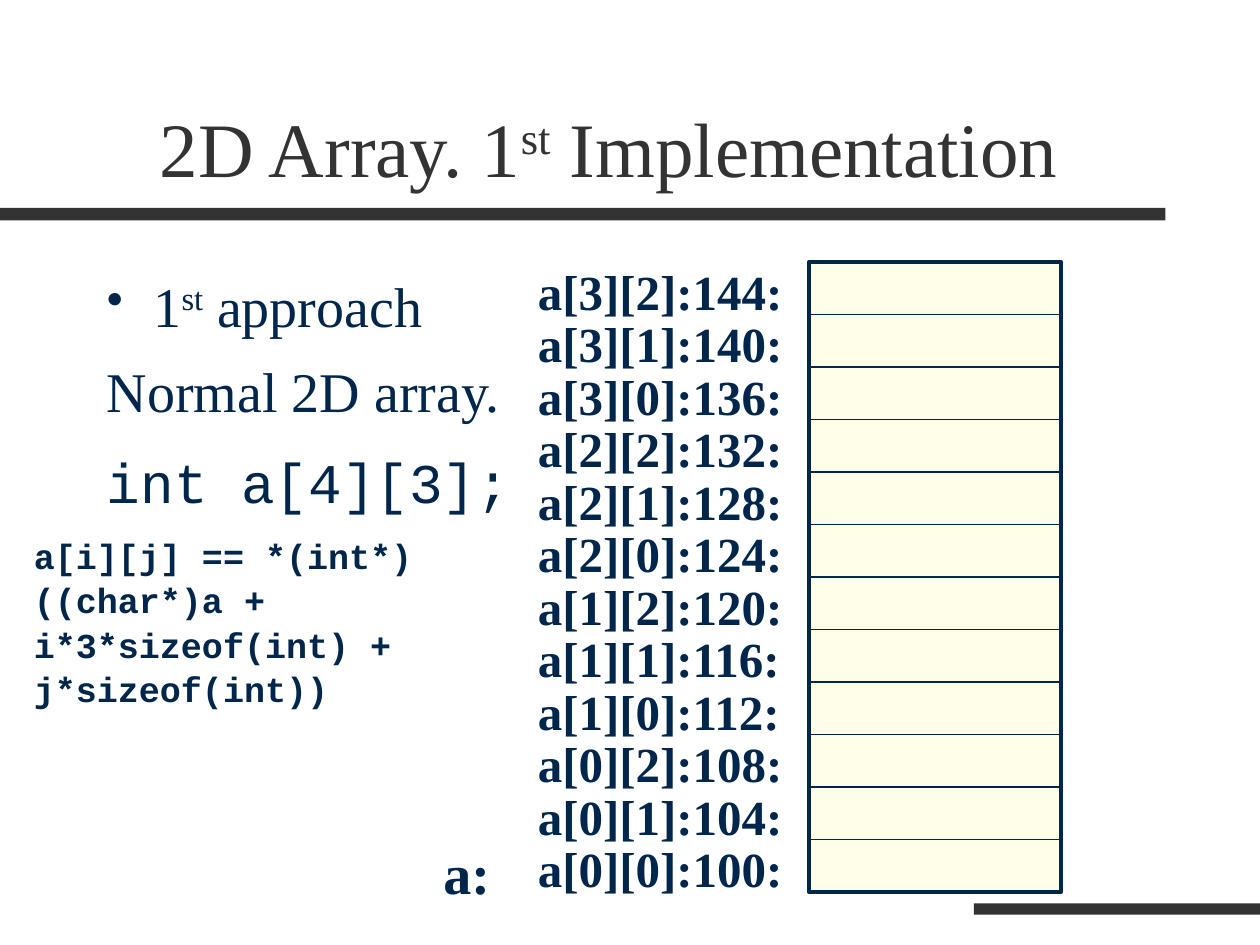
from dataclasses import dataclass
from typing import Optional

from lxml import etree
from pptx import Presentation
from pptx.dml.color import RGBColor
from pptx.enum import shapes, text
from pptx.oxml.ns import qn
from pptx.util import Inches, Pt


@dataclass(frozen=True)
class Theme:
    ink: str = "00264C"
    bar: str = "333333"
    cell: str = "FFFFE9"
    serif: str = "Times New Roman"
    mono: str = "Courier New"
    title: int = 44
    body: int = 32
    label: int = 28
    code: int = 20
    border: float = 2.25
    divider: float = 0.75


@dataclass(frozen=True)
class Area:
    left: float
    top: float
    width: float
    height: float

    def lengths(self) -> tuple:
        return tuple(Inches(n) for n in (self.left, self.top, self.width, self.height))


@dataclass(frozen=True)
class Span:
    words: str
    raised: bool = False


@dataclass(frozen=True)
class Para:
    spans: tuple[Span, ...]
    size: int
    color: str
    font: str
    bold: bool = False
    spacing: float = 1.05
    before: float = 0
    hanging: float = 0
    bullet: Optional[str] = None


THEME = Theme()
MEMORY = Area(6.42, 2.08, 2, 5)
ROWS, COLUMNS, INT_SIZE, BASE_ADDRESS = 4, 3, 4, 100


def add_bullet(para, mark: str, color: str) -> None:
    properties = para._p.get_or_add_pPr()
    tint = etree.SubElement(properties, qn("a:buClr"))
    etree.SubElement(tint, qn("a:srgbClr"), val=color)
    etree.SubElement(properties, qn("a:buSzPct"), val="85000")
    etree.SubElement(properties, qn("a:buChar"), char=mark)


def add_text(slide, area: Area, paras: list[Para],
             anchor=text.MSO_ANCHOR.TOP, grow: bool = False) -> None:
    frame = slide.shapes.add_textbox(*area.lengths()).text_frame
    frame.word_wrap = True
    frame.vertical_anchor = anchor
    if grow:
        frame.auto_size = text.MSO_AUTO_SIZE.SHAPE_TO_FIT_TEXT
    for index, item in enumerate(paras):
        para = frame.add_paragraph() if index else frame.paragraphs[0]
        para.line_spacing = item.spacing
        if item.before:
            para.space_before = Pt(item.before)
        if item.hanging:
            properties = para._p.get_or_add_pPr()
            properties.set("marL", str(Inches(item.hanging)))
            properties.set("indent", str(-Inches(item.hanging)))
        if item.bullet:
            add_bullet(para, item.bullet, item.color)
        for part in item.spans:
            span = para.add_run()
            span.text = part.words
            span.font.size = Pt(item.size)
            span.font.name = item.font
            span.font.bold = item.bold
            span.font.color.rgb = RGBColor.from_string(item.color)
            if part.raised:
                span.font._element.set("baseline", "30000")


def add_box(slide, area: Area, fill: str, line: Optional[str] = None) -> None:
    box = slide.shapes.add_shape(shapes.MSO_SHAPE.RECTANGLE, *area.lengths())
    box.shadow.inherit = False
    box.fill.solid()
    box.fill.fore_color.rgb = RGBColor.from_string(fill)
    if line:
        box.line.color.rgb = RGBColor.from_string(line)
        box.line.width = Pt(THEME.border)
    else:
        box.line.fill.background()


def add_divider(slide, left: float, right: float, top: float) -> None:
    divider = slide.shapes.add_connector(
        shapes.MSO_CONNECTOR.STRAIGHT, Inches(left), Inches(top), Inches(right), Inches(top))
    divider.line.color.rgb = RGBColor.from_string(THEME.ink)
    divider.line.width = Pt(THEME.divider)
    etree.SubElement(divider._element.spPr, qn("a:effectLst"))


def bold_para(words: str, size: int, font: str = THEME.serif, spacing: float = 1.05) -> Para:
    return Para((Span(words),), size, THEME.ink, font, bold=True, spacing=spacing)


def add_memory(slide) -> None:
    add_box(slide, MEMORY, THEME.cell, THEME.ink)
    count = ROWS * COLUMNS
    step = MEMORY.height / count
    for index in range(count):
        add_divider(slide, MEMORY.left, MEMORY.left + MEMORY.width, MEMORY.top + index * step)
        row, column = divmod(index, COLUMNS)
        words = f"a[{row}][{column}]:{BASE_ADDRESS + index * INT_SIZE}:"
        width = 2.25 if index % 2 == 0 and index < 10 else 2.42
        area = Area(4.17, 2 + (count - 1 - index) * step, width, 0.57)
        add_text(slide, area, [bold_para(words, THEME.label)], grow=True)


def main() -> None:
    """Build the slide on the memory layout of a two-dimensional array."""
    deck = Presentation()
    deck.slide_width, deck.slide_height = Inches(10), Inches(7.5)
    slide = deck.slides.add_slide(deck.slide_layouts[6])

    for bar in (Area(0, 1.65, 9.25, 0.1), Area(7.73, 7.17, 2.27, 0.09)):
        add_box(slide, bar, THEME.bar)

    heading = (Span("2D Array. 1"), Span("st", raised=True), Span(" Implementation"))
    add_text(slide, Area(1.17, 0.33, 8.5, 1.25),
             [Para(heading, THEME.title, THEME.bar, THEME.serif)], text.MSO_ANCHOR.BOTTOM)

    approach = (Span("1"), Span("st", raised=True), Span(" approach"))
    add_text(slide, Area(0.75, 2.08, 8.5, 4.58), [
        Para(approach, THEME.body, THEME.ink, THEME.serif, hanging=0.37, bullet="•"),
        Para((Span("Normal 2D array."),), THEME.body, THEME.ink, THEME.serif,
             before=8, hanging=0.37),
        Para((Span("int a[4][3];"),), THEME.body, THEME.ink, THEME.mono,
             spacing=1.15, before=8, hanging=0.37),
    ])

    add_memory(slide)
    add_text(slide, Area(3.42, 6.58, 1, 0.64), [bold_para("a:", THEME.body)], grow=True)
    formula = "a[i][j] == *(int*)((char*)a + i*3*sizeof(int) + j*sizeof(int))"
    add_text(slide, Area(0.17, 4.17, 4.08, 1.44),
             [bold_para(formula, THEME.code, THEME.mono, 1.06)], grow=True)
    deck.save("out.pptx")


if __name__ == "__main__":
    main()
